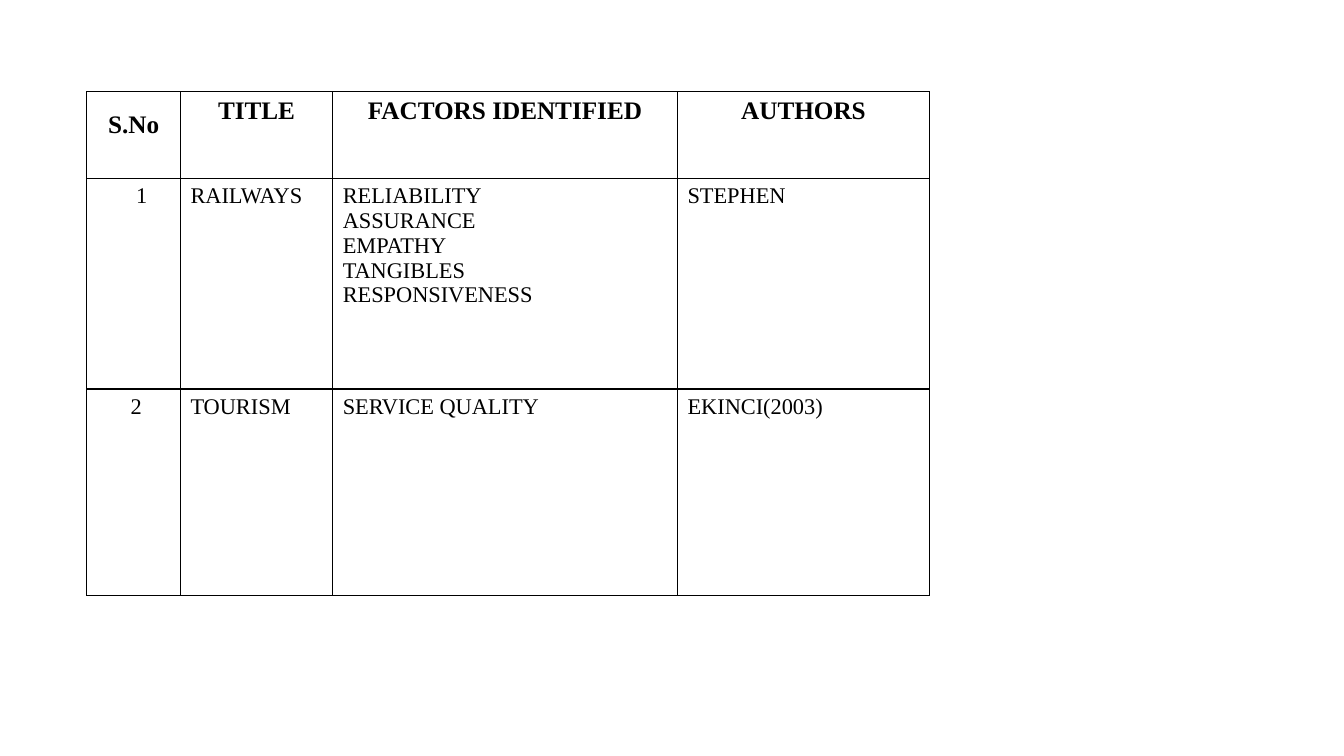
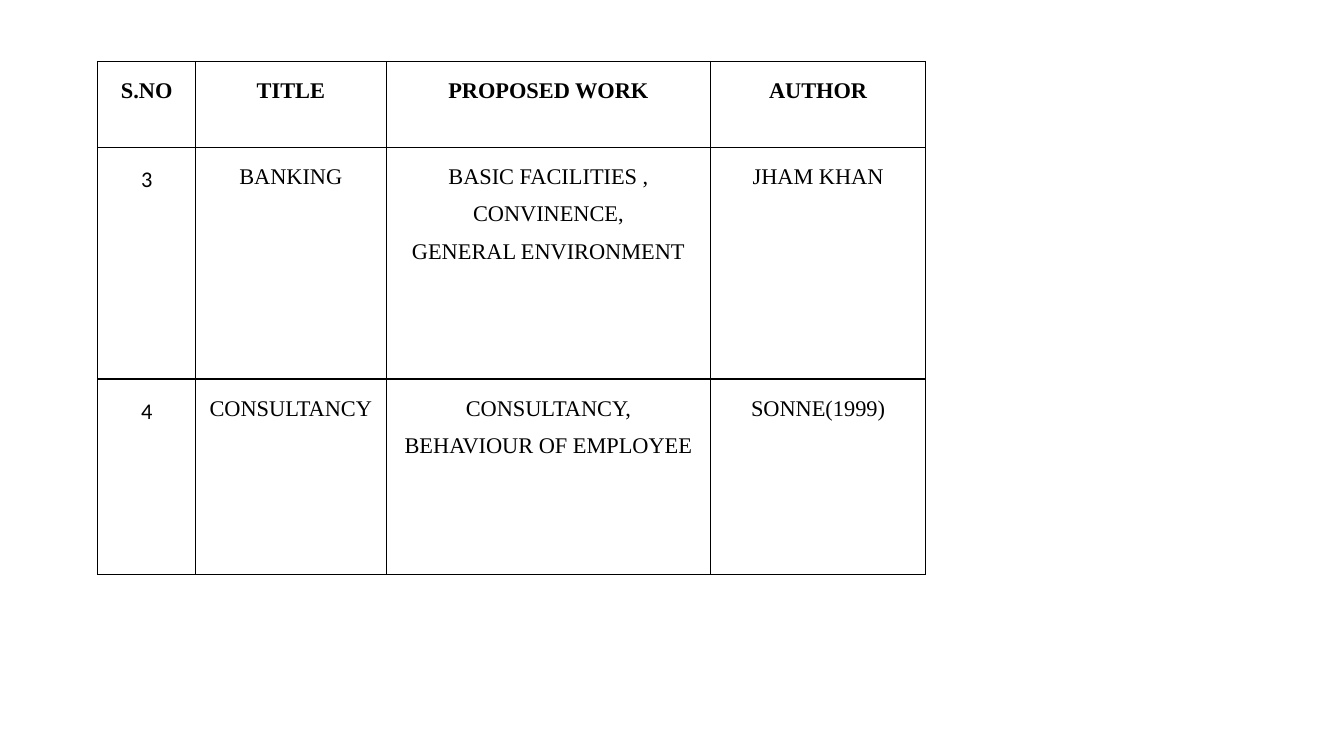
from dataclasses import dataclass
from functools import partial

from lxml.etree import SubElement
from pptx import Presentation
from pptx.dml.color import RGBColor
from pptx.enum.text import PP_ALIGN as Align
from pptx.oxml.ns import qn
from pptx.util import Inches, Pt

COLORS = {"text": "000000", "border": "000000"}
SERIF, SANS = "Times New Roman", "Calibri"
BORDER_WIDTH = Pt(1)


@dataclass(frozen=True)
class Cell:
    text: str
    size: int = 16
    bold: bool = False
    font: str = SERIF
    align: Align = Align.LEFT
    spacing: float = 1.0
    indent: float = 0.0


@dataclass(frozen=True)
class Grid:
    left: float
    top: float
    cols: tuple[float, ...]
    rows: tuple[float, ...]
    cells: tuple[tuple[Cell, ...], ...]


Centered = partial(Cell, align=Align.CENTER)
Header = partial(Centered, size=18, bold=True)
Spaced = partial(Centered, spacing=1.5)
SpacedHeader = partial(Spaced, bold=True)
Number = partial(Spaced, font=SANS)

GRIDS = (
    Grid(
        left=0.86, top=0.91,
        cols=(0.93, 1.51, 3.42, 2.5), rows=(0.86, 2.09, 2.05),
        cells=(
            (Header("S.No", spacing=1.5), Header("TITLE"),
             Header("FACTORS IDENTIFIED"), Header("AUTHORS")),
            (Cell("1", indent=0.39), Cell("RAILWAYS"),
             Cell("RELIABILITY\nASSURANCE\nEMPATHY\nTANGIBLES\nRESPONSIVENESS"),
             Cell("STEPHEN")),
            (Centered("2", indent=0.05), Cell("TOURISM"),
             Cell("SERVICE QUALITY"), Cell("EKINCI(2003)")),
        ),
    ),
    Grid(
        left=0.97, top=0.61,
        cols=(0.97, 1.89, 3.22, 2.13), rows=(0.85, 2.3, 1.94),
        cells=(
            tuple(map(SpacedHeader, ("S.NO", "TITLE", "PROPOSED WORK", "AUTHOR"))),
            (Number("3"), Spaced("BANKING"),
             Spaced("BASIC FACILITIES ,\nCONVINENCE,\nGENERAL ENVIRONMENT"),
             Spaced("JHAM KHAN")),
            (Number("4"), Spaced("CONSULTANCY"),
             Spaced("CONSULTANCY,\nBEHAVIOUR OF EMPLOYEE"),
             Spaced("SONNE(1999)")),
        ),
    ),
)


def add_borders(target) -> None:
    props = target._tc.get_or_add_tcPr()
    for side in ("lnL", "lnR", "lnT", "lnB"):
        line = SubElement(props, qn(f"a:{side}"), w=str(int(BORDER_WIDTH)))
        fill = SubElement(line, qn("a:solidFill"))
        SubElement(fill, qn("a:srgbClr"), val=COLORS["border"])


def fill_cell(target, cell: Cell) -> None:
    add_borders(target)
    target.fill.background()
    tf = target.text_frame
    tf.text = cell.text
    for p in tf.paragraphs:
        p.alignment = cell.align
        p.line_spacing = cell.spacing
        if cell.indent:
            p._p.get_or_add_pPr().set("marL", str(int(Inches(cell.indent))))
        p.font.name = cell.font
        p.font.size = Pt(cell.size)
        p.font.bold = cell.bold
        p.font.color.rgb = RGBColor.from_string(COLORS["text"])


def add_grid(s, grid: Grid) -> None:
    frame = s.shapes.add_table(
        len(grid.rows), len(grid.cols), Inches(grid.left), Inches(grid.top),
        Inches(sum(grid.cols)), Inches(sum(grid.rows)),
    )
    table = frame.table
    table.first_row = table.horz_banding = False
    for column, width in zip(table.columns, grid.cols):
        column.width = Inches(width)
    for row, height, cells in zip(table.rows, grid.rows, grid.cells):
        row.height = Inches(height)
        for target, cell in zip(row.cells, cells):
            fill_cell(target, cell)


def main() -> None:
    prs = Presentation()
    prs.slide_width, prs.slide_height = Inches(13.33), Inches(7.5)
    for grid in GRIDS:
        add_grid(prs.slides.add_slide(prs.slide_layouts[6]), grid)
    prs.save("out.pptx")


if __name__ == "__main__":
    main()
